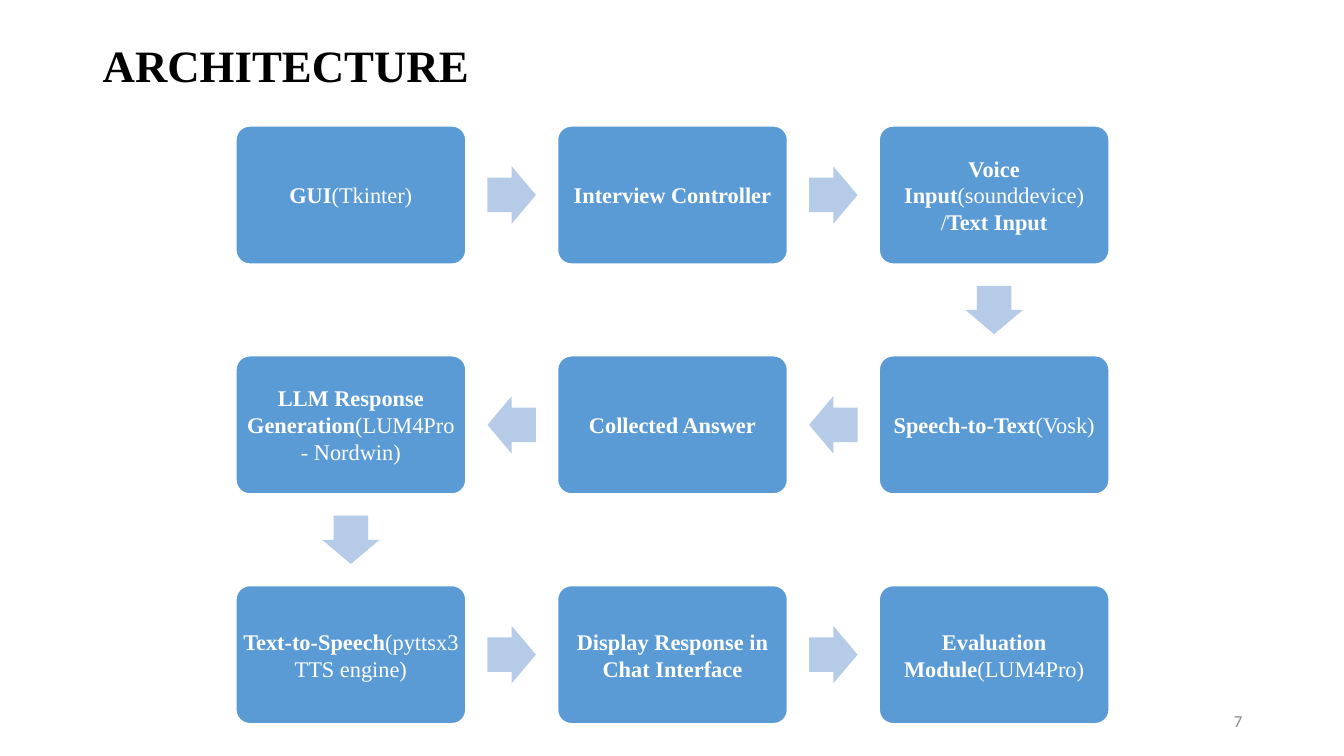
import math
from itertools import pairwise

from pptx import Presentation
from pptx.dml.color import RGBColor
from pptx.enum import shapes, text
from pptx.util import Inches, Pt

COLORS = {"step": "5B9BD5", "arrow": "B5CBE7", "white": "FFFFFF",
          "title": "000000", "number": "8C8C8C"}
SERIF = "Times New Roman"
STEP_W, STEP_H = 2.28, 1.37
ARROW_W, ARROW_H = 0.48, 0.57
LEFT, TOP = 2.34, 1.25
PITCH_X, PITCH_Y = 3.19, 2.28
COLUMNS = 3

STEPS = [
    [("GUI", True), ("(Tkinter)", False)],
    [("Interview Controller", True)],
    [("Voice Input", True), ("(sounddevice) /", False), ("Text Input", True)],
    [("Speech-to-Text", True), ("(Vosk)", False)],
    [("Collected Answer", True)],
    [("LLM Response Generation", True), ("(LUM4Pro - Nordwin)", False)],
    [("Text-to-Speech", True), ("(pyttsx3 TTS engine)", False)],
    [("Display Response in Chat Interface", True)],
    [("Evaluation Module", True), ("(LUM4Pro)", False)],
]


def rgb(name):
    return RGBColor.from_string(COLORS[name])


def write(frame, runs, *, size, color, font=SERIF, align=text.PP_ALIGN.LEFT,
          inset=0.1, spacing=1.0):
    frame.word_wrap = True
    frame.vertical_anchor = text.MSO_ANCHOR.MIDDLE
    frame.margin_left = frame.margin_right = Inches(inset)
    frame.margin_top = frame.margin_bottom = Inches(0.05)
    paragraph = frame.paragraphs[0]
    paragraph.alignment = align
    paragraph.line_spacing = spacing
    for words, bold in runs:
        run = paragraph.add_run()
        run.text = words
        run.font.name = font
        run.font.size = Pt(size)
        run.font.bold = bold
        run.font.color.rgb = rgb(color)


def add_label(slide, box, runs, **style):
    label = slide.shapes.add_textbox(*map(Inches, box))
    write(label.text_frame, runs, **style)


def add_centered(slide, kind, center, size, fill, adjustments):
    (x, y), (width, height) = center, size
    shape = slide.shapes.add_shape(
        kind, Inches(x - width / 2), Inches(y - height / 2),
        Inches(width), Inches(height))
    for index, value in enumerate(adjustments):
        shape.adjustments[index] = value
    shape.shadow.inherit = False
    shape.fill.solid()
    shape.fill.fore_color.rgb = rgb(fill)
    shape.line.fill.background()
    return shape


def add_step(slide, center, runs):
    step = add_centered(slide, shapes.MSO_SHAPE.ROUNDED_RECTANGLE, center,
                        (STEP_W, STEP_H), "step", [0.1])
    step.line.color.rgb = rgb("white")
    step.line.width = Pt(1)
    write(step.text_frame, runs, size=16, color="white",
          align=text.PP_ALIGN.CENTER, inset=0.02)


def add_arrow(slide, start, end):
    middle = ((start[0] + end[0]) / 2, (start[1] + end[1]) / 2)
    arrow = add_centered(slide, shapes.MSO_SHAPE.RIGHT_ARROW, middle,
                         (ARROW_W, ARROW_H), "arrow", [0.6, 0.5])
    arrow.rotation = math.degrees(
        math.atan2(end[1] - start[1], end[0] - start[0]))


def step_center(index):
    row, column = divmod(index, COLUMNS)
    if row % 2:
        column = COLUMNS - 1 - column
    return (LEFT + STEP_W / 2 + column * PITCH_X,
            TOP + STEP_H / 2 + row * PITCH_Y)


def main():
    deck = Presentation()
    deck.slide_width, deck.slide_height = Inches(13.33), Inches(7.5)
    slide = deck.slides.add_slide(deck.slide_layouts[6])

    add_label(slide, (0.92, 0.09, 11.5, 1.16), [("ARCHITECTURE", True)],
              size=32, color="title", spacing=0.9)
    centers = [step_center(index) for index in range(len(STEPS))]
    for center, runs in zip(centers, STEPS):
        add_step(slide, center, runs)
    for start, end in pairwise(centers):
        add_arrow(slide, start, end)
    add_label(slide, (9.42, 6.95, 3, 0.4), [("7", False)], size=12,
              color="number", font="Calibri", align=text.PP_ALIGN.RIGHT)

    deck.save("out.pptx")


if __name__ == "__main__":
    main()
